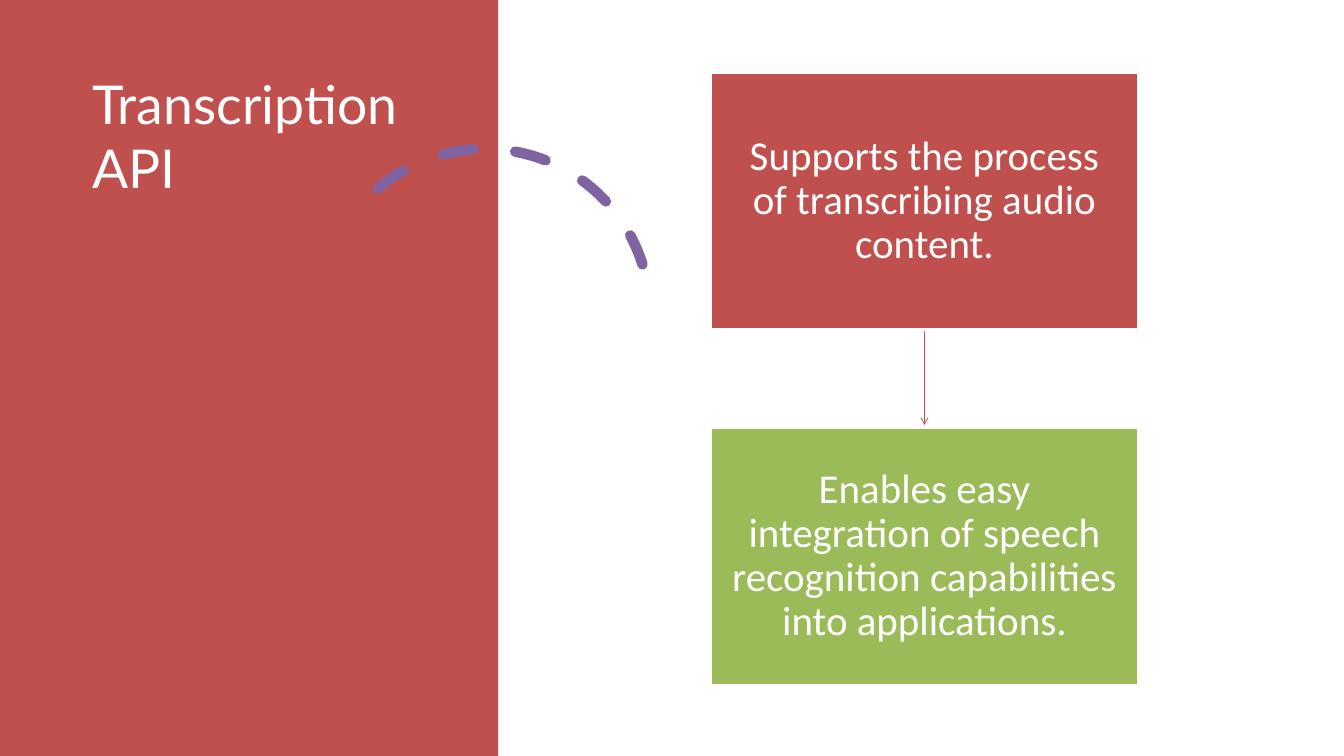
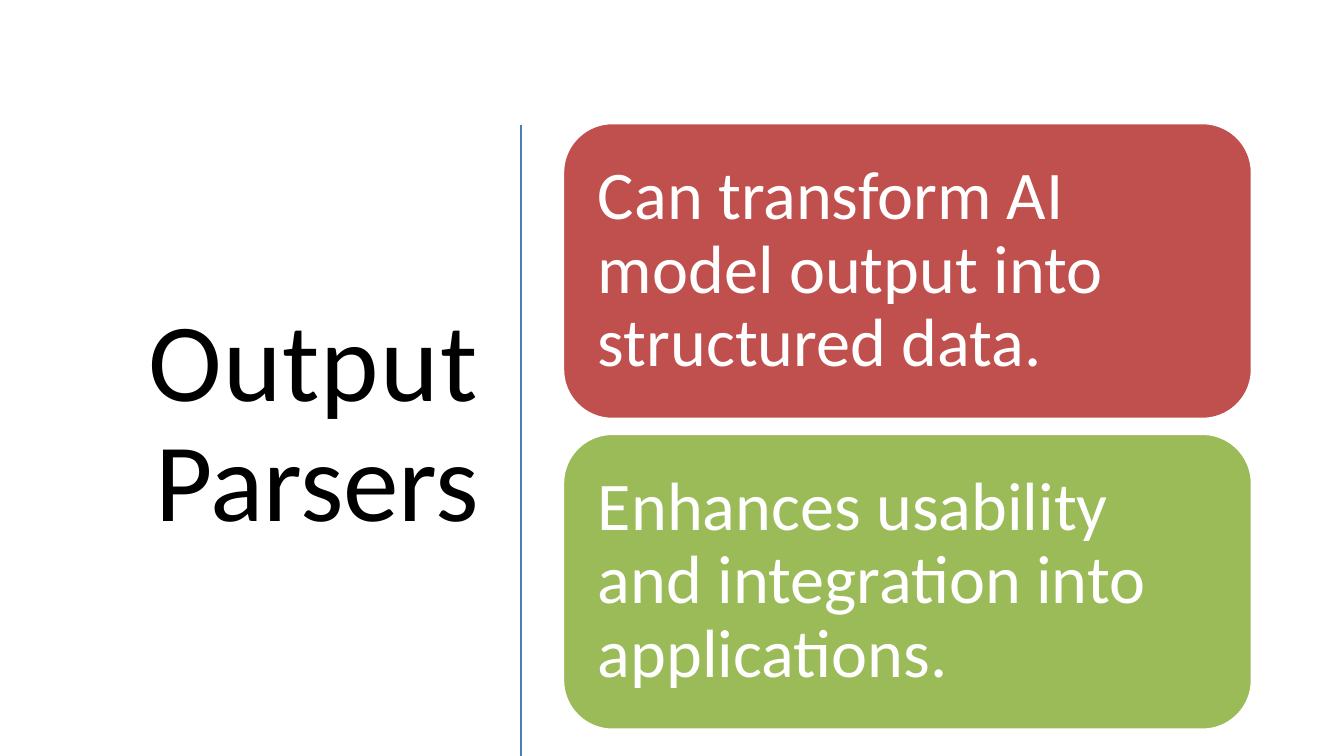
from dataclasses import dataclass

from pptx import Presentation
from pptx.dml.color import RGBColor
from pptx.enum.dml import MSO_LINE
from pptx.enum.shapes import MSO_CONNECTOR, MSO_SHAPE
from pptx.enum.text import MSO_ANCHOR, MSO_AUTO_SIZE, PP_ALIGN
from pptx.oxml.ns import qn
from pptx.util import Inches, Pt
from lxml.etree import SubElement

TRANSCRIPTION = {
    "title": [("Transcription API", 0)],
    "cards": [
        "Supports the process of transcribing audio content.",
        "Enables easy integration of speech recognition capabilities into applications.",
    ],
}
PARSERS = {
    "title": [("Output ", 120), ("Parsers", -10)],
    "cards": [
        "Can transform AI model output into structured data.",
        "Enhances usability and integration into applications.",
    ],
}


@dataclass(frozen=True)
class Theme:
    red: str = "C0504D"
    green: str = "9BBB59"
    purple: str = "8064A2"
    blue: str = "4A7EBB"
    white: str = "FFFFFF"
    black: str = "000000"
    body_font: str = "Calibri"
    title_font: str = "Lato"
    band_title: int = 51
    big_title: int = 106
    flow_text: int = 39
    card_text: int = 65


T = Theme()
WIDTH, HEIGHT = 17.78, 10


def rgb(color):
    return RGBColor.from_string(color)


def box(*lengths):
    return [Inches(n) for n in lengths]


def style_run(r, font, size, color):
    r.font.name, r.font.size = font, Pt(size)
    r.font.color.rgb = rgb(color)


def set_frame(tf, anchor, inset_x, inset_y):
    tf.word_wrap = True
    tf.auto_size = MSO_AUTO_SIZE.NONE
    tf.vertical_anchor = anchor
    tf.margin_left = tf.margin_right = Inches(inset_x)
    tf.margin_top = tf.margin_bottom = Inches(inset_y)


def add_title(s, runs, at, font, size, color, anchor, align, spacing, insets):
    sp = s.shapes.title
    sp.left, sp.top, sp.width, sp.height = box(*at)
    sp.element.getparent().append(sp.element)
    set_frame(sp.text_frame, anchor, *insets)
    p = sp.text_frame.paragraphs[0]
    p.alignment, p.line_spacing = align, spacing
    for text, tracking in runs:
        r = p.add_run()
        r.text = text
        style_run(r, font, size, color)
        if tracking:
            r.font._element.set("spc", str(tracking))


def add_shape(s, kind, at, fill=None):
    sp = s.shapes.add_shape(kind, *box(*at))
    sp.shadow.inherit = False
    if fill:
        sp.fill.solid()
        sp.fill.fore_color.rgb = rgb(fill)
    else:
        sp.fill.background()
    sp.line.fill.background()
    return sp


def add_line(s, x, top, bottom, color, width):
    c = s.shapes.add_connector(MSO_CONNECTOR.STRAIGHT, *box(x, top, x, bottom))
    c.line.color.rgb = rgb(color)
    c.line.width = Pt(width)
    SubElement(c.element.spPr, qn("a:effectLst"))
    return c


def add_cards(s, texts, kind, at, pitch, size, align, insets):
    left, top, width, height = at
    for i, (text, fill) in enumerate(zip(texts, (T.red, T.green))):
        sp = add_shape(s, kind, (left, top + i * pitch, width, height), fill)
        sp.line.color.rgb = rgb(T.white)
        sp.line.width = Pt(2)
        tf = sp.text_frame
        tf.text = text
        set_frame(tf, MSO_ANCHOR.MIDDLE, *insets)
        p = tf.paragraphs[0]
        p.alignment, p.line_spacing = align, 0.9
        style_run(p.runs[0], T.body_font, size, T.white)


def add_transcription(s):
    add_shape(s, MSO_SHAPE.RECTANGLE, (0, 0, 6.59, HEIGHT), T.red)
    arc = add_shape(s, MSO_SHAPE.ARC, (4.24, 1.97, 4.36, 4.36))
    arc.rotation = 345.8
    arc.adjustments[0], arc.adjustments[1] = 146.13, 0
    arc.line.color.rgb = rgb(T.purple)
    arc.line.width = Pt(10)
    arc.line.dash_style = MSO_LINE.DASH
    arc.element.spPr.find(qn("a:ln")).set("cap", "rnd")
    add_title(s, TRANSCRIPTION["title"], (1.22, 0.94, 4.3, 8.12), T.title_font,
              T.band_title, T.white, MSO_ANCHOR.TOP, PP_ALIGN.LEFT, 1.0, (0, 0))

    left, top, width, height = card = (9.4, 0.96, 5.66, 3.4)
    pitch = 4.7
    arrow = add_line(s, left + width / 2, top + height, top + pitch - 0.04, T.red, 0.75)
    SubElement(arrow.element.spPr.find(qn("a:ln")), qn("a:tailEnd"), type="arrow")
    add_cards(s, TRANSCRIPTION["cards"], MSO_SHAPE.RECTANGLE, card, pitch,
              T.flow_text, PP_ALIGN.CENTER, (0.28, 0.29))


def add_parsers(s):
    add_title(s, PARSERS["title"], (0.7, 1.56, 5.74, 8.14), T.body_font,
              T.big_title, T.black, MSO_ANCHOR.MIDDLE, PP_ALIGN.RIGHT, 0.9, (0.1, 0.05))
    add_line(s, 6.89, 1.65, HEIGHT, T.blue, 2)
    add_cards(s, PARSERS["cards"], MSO_SHAPE.ROUNDED_RECTANGLE, (7.45, 1.63, 9.11, 3.91),
              4.11, T.card_text, PP_ALIGN.LEFT, (0.27, 0.27))


def main():
    prs = Presentation()
    prs.slide_width, prs.slide_height = box(WIDTH, HEIGHT)
    for build in (add_transcription, add_parsers):
        build(prs.slides.add_slide(prs.slide_layouts[5]))
    prs.save("out.pptx")


if __name__ == "__main__":
    main()
